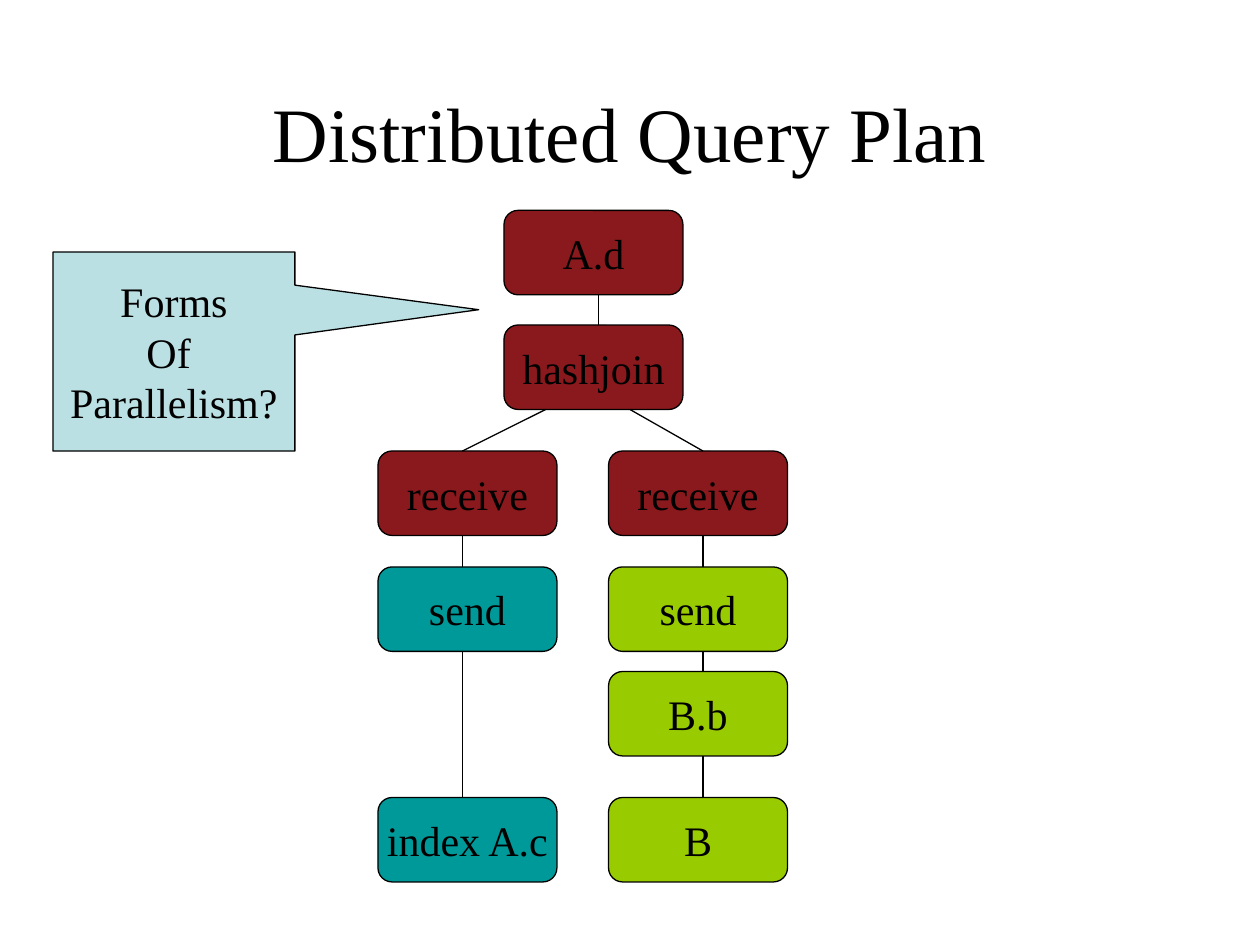
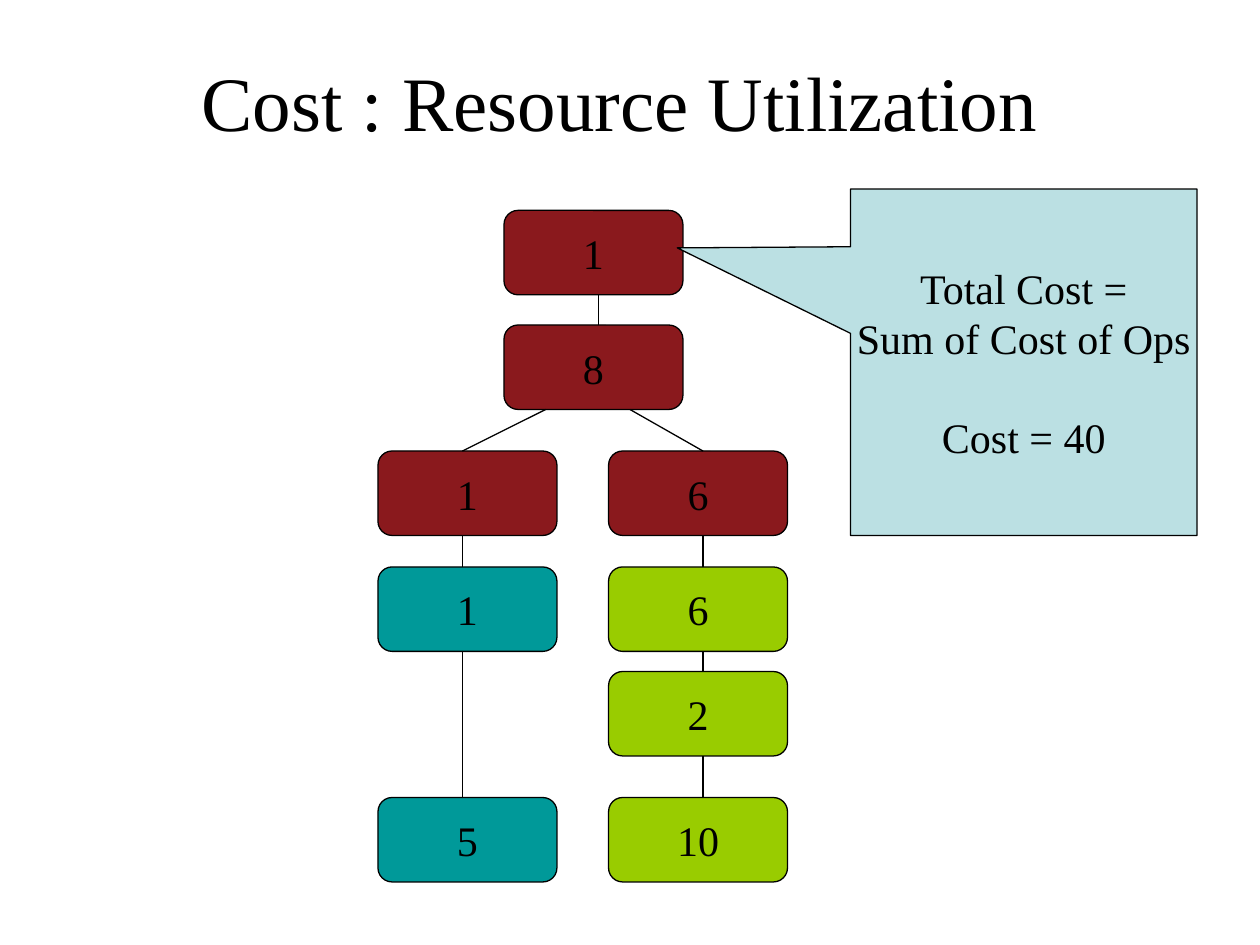
from dataclasses import dataclass

from lxml import etree
from pptx import Presentation
from pptx.dml.color import RGBColor
from pptx.enum.shapes import MSO_CONNECTOR, MSO_SHAPE
from pptx.enum.text import MSO_ANCHOR, PP_ALIGN
from pptx.oxml.ns import qn
from pptx.util import Inches, Pt

ROUNDED = MSO_SHAPE.ROUNDED_RECTANGLE
CALLOUT = MSO_SHAPE.RECTANGULAR_CALLOUT
STRAIGHT = MSO_CONNECTOR.STRAIGHT
MIDDLE = MSO_ANCHOR.MIDDLE
CENTER = PP_ALIGN.CENTER

COLORS = {
    "ink": "000000",
    "paper": "FFFFFF",
    "join_site": "8A191D",
    "site_a": "009999",
    "site_b": "99CC00",
    "callout": "BBE0E3",
}
FONT = "Times New Roman"
BODY_SIZE = 24
LINE_WIDTH = Pt(0.74)
NODE_W, NODE_H = 1.42, 0.67
TITLE_W, TITLE_H = 8.5, 1.25
LEFT_X, ROOT_X, RIGHT_X = 3, 4, 4.83
LEFT_AXIS, ROOT_AXIS, RIGHT_AXIS = 3.67, 4.75, 5.58
ROWS = {"project": 1.67, "join": 2.58, "receive": 3.58,
        "send": 4.5, "filter": 5.33, "scan": 6.33}


@dataclass
class Node:
    """Place and colour of one operator in the plan tree."""
    x: float
    row: str
    color: str


@dataclass
class Edge:
    """Line from the bottom of one row to the top of a lower row."""
    x1: float
    upper: str
    x2: float
    lower: str


@dataclass
class Callout:
    """Speech box with its pointer offsets and its lines of text."""
    box: tuple[float, float, float, float]
    pointer: tuple[float, float]
    lines: list[str]
    gap_before_last: float = 0


@dataclass
class PlanSlide:
    """Content of one slide; labels follow the order of NODES."""
    title: str
    title_at: tuple[float, float]
    labels: list[str]
    callout: Callout


NODES = [
    Node(ROOT_X, "project", "join_site"),
    Node(ROOT_X, "join", "join_site"),
    Node(LEFT_X, "receive", "join_site"),
    Node(RIGHT_X, "receive", "join_site"),
    Node(LEFT_X, "send", "site_a"),
    Node(RIGHT_X, "send", "site_b"),
    Node(RIGHT_X, "filter", "site_b"),
    Node(LEFT_X, "scan", "site_a"),
    Node(RIGHT_X, "scan", "site_b"),
]
EDGES = [
    Edge(ROOT_AXIS, "project", ROOT_AXIS, "join"),
    Edge(4.33, "join", LEFT_AXIS, "receive"),
    Edge(5, "join", RIGHT_AXIS, "receive"),
    Edge(LEFT_AXIS, "receive", LEFT_AXIS, "send"),
    Edge(LEFT_AXIS, "send", LEFT_AXIS, "scan"),
    Edge(RIGHT_AXIS, "receive", RIGHT_AXIS, "send"),
    Edge(RIGHT_AXIS, "send", RIGHT_AXIS, "filter"),
    Edge(RIGHT_AXIS, "filter", RIGHT_AXIS, "scan"),
]
SLIDES = [
    PlanSlide(
        "Distributed Query Plan", (0.75, 0.42),
        ["A.d", "hashjoin", "receive", "receive", "send", "send",
         "B.b", "index A.c", "B"],
        Callout((0.42, 2, 1.92, 1.58), (1.26, -0.21),
                ["Forms", "Of ", "Parallelism?"])),
    PlanSlide(
        "Cost : Resource Utilization", (0.67, 0.17),
        ["1", "8", "1", "6", "1", "6", "2", "5", "10"],
        Callout((6.75, 1.5, 2.75, 2.75), (-1, -0.33),
                ["Total Cost =", "Sum of Cost of Ops", "Cost = 40"],
                gap_before_last=28)),
]


def rgb(name):
    """Look up a colour by its role."""
    return RGBColor.from_string(COLORS[name])


def write_text(sp, lines: list[str], *, size=BODY_SIZE, color="ink",
               wrap=False, gap_before_last=0):
    """Write centred paragraphs into a shape and return the text frame."""
    tf = sp.text_frame
    tf.word_wrap = wrap
    tf.vertical_anchor = MIDDLE
    for i, line in enumerate(lines):
        p = tf.add_paragraph() if i else tf.paragraphs[0]
        p.alignment = CENTER
        r = p.add_run()
        r.text = line
        r.font.name = FONT
        r.font.size = Pt(size)
        r.font.color.rgb = rgb(color)
    if gap_before_last:
        tf.paragraphs[-1].space_before = Pt(gap_before_last)
    return tf


def add_box(s, kind, box: tuple[float, float, float, float], color: str):
    """Add a filled, outlined shape without a shadow."""
    sp = s.shapes.add_shape(kind, *map(Inches, box))
    sp.shadow.inherit = False
    sp.fill.solid()
    sp.fill.fore_color.rgb = rgb(color)
    sp.line.color.rgb = rgb("ink")
    sp.line.width = LINE_WIDTH
    return sp


def add_title(s, text: str, at: tuple[float, float]) -> None:
    """Add the large centred slide title."""
    sp = s.shapes.add_textbox(*map(Inches, (*at, TITLE_W, TITLE_H)))
    write_text(sp, [text], size=44, wrap=True)


def add_node(s, node: Node, label: str) -> None:
    """Draw one operator of the plan."""
    box = (node.x, ROWS[node.row], NODE_W, NODE_H)
    sp = add_box(s, ROUNDED, box, node.color)
    write_text(sp, [label])


def add_edge(s, edge: Edge) -> None:
    """Draw one link between two operators."""
    ends = (edge.x1, ROWS[edge.upper] + NODE_H, edge.x2, ROWS[edge.lower])
    line = s.shapes.add_connector(STRAIGHT, *map(Inches, ends))
    line.line.color.rgb = rgb("ink")
    line.line.width = LINE_WIDTH
    etree.SubElement(line._element.spPr, qn("a:effectLst"))


def add_callout(s, callout: Callout) -> None:
    """Draw the speech box that comments on the plan."""
    sp = add_box(s, CALLOUT, callout.box, "callout")
    sp.adjustments[0], sp.adjustments[1] = callout.pointer
    write_text(sp, callout.lines, gap_before_last=callout.gap_before_last)


def add_plan_slide(prs, plan: PlanSlide) -> None:
    """Build one slide: title, plan tree and callout."""
    s = prs.slides.add_slide(prs.slide_layouts[6])
    s.background.fill.solid()
    s.background.fill.fore_color.rgb = rgb("paper")
    add_title(s, plan.title, plan.title_at)
    for node, label in zip(NODES, plan.labels):
        add_node(s, node, label)
    for edge in EDGES:
        add_edge(s, edge)
    add_callout(s, plan.callout)


def main() -> None:
    """Build and save the presentation."""
    prs = Presentation()
    prs.slide_width, prs.slide_height = Inches(10), Inches(7.5)
    for plan in SLIDES:
        add_plan_slide(prs, plan)
    prs.save("out.pptx")


main()
